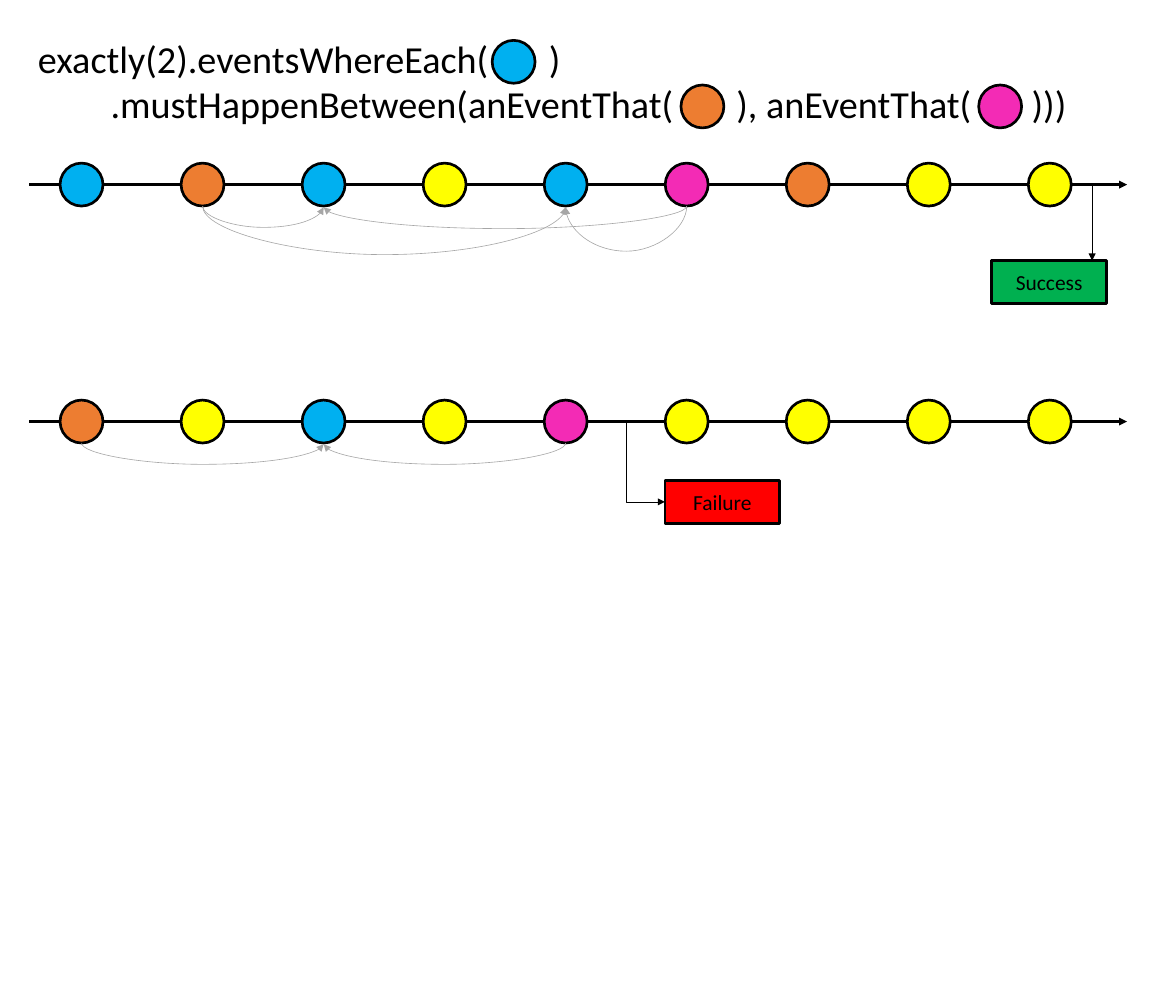
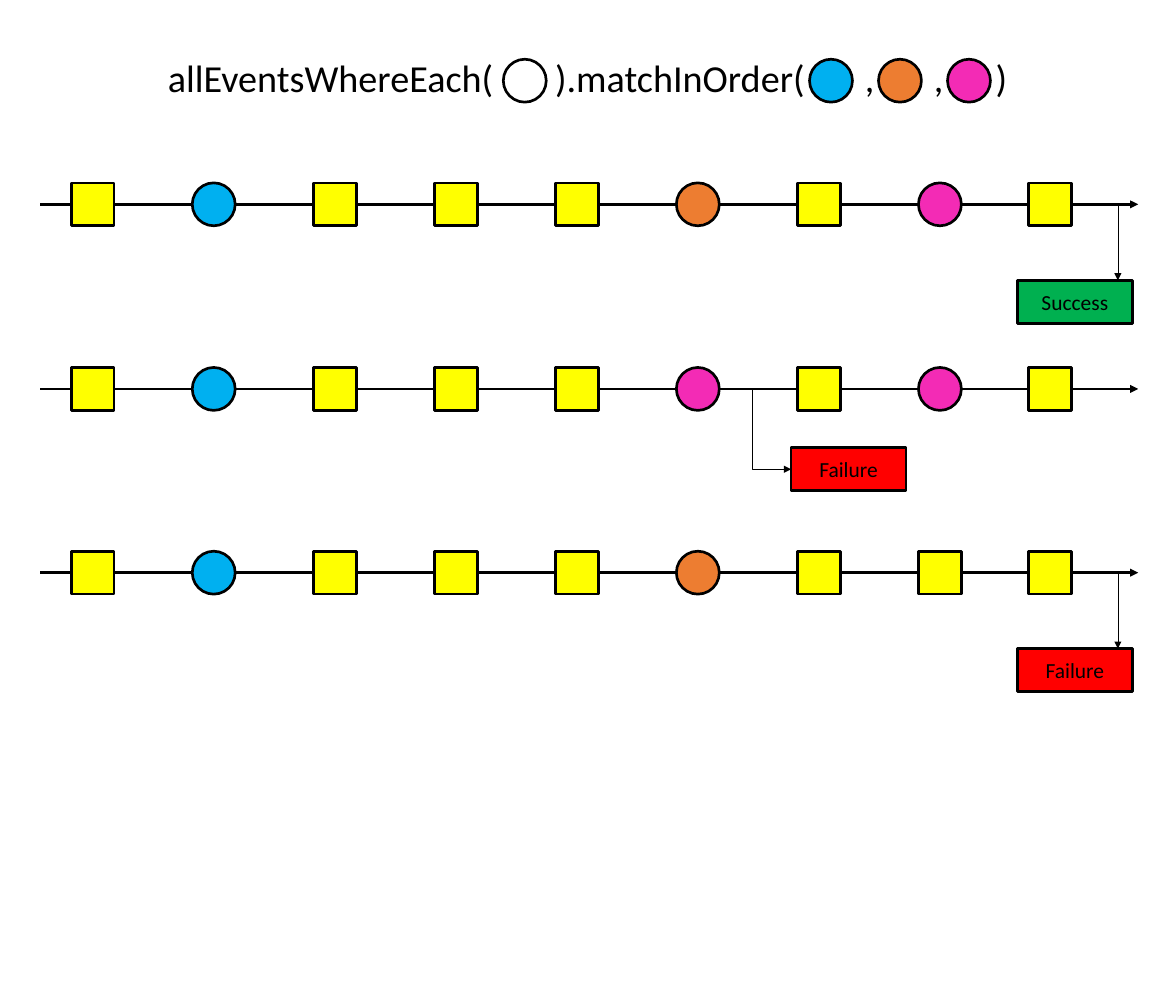
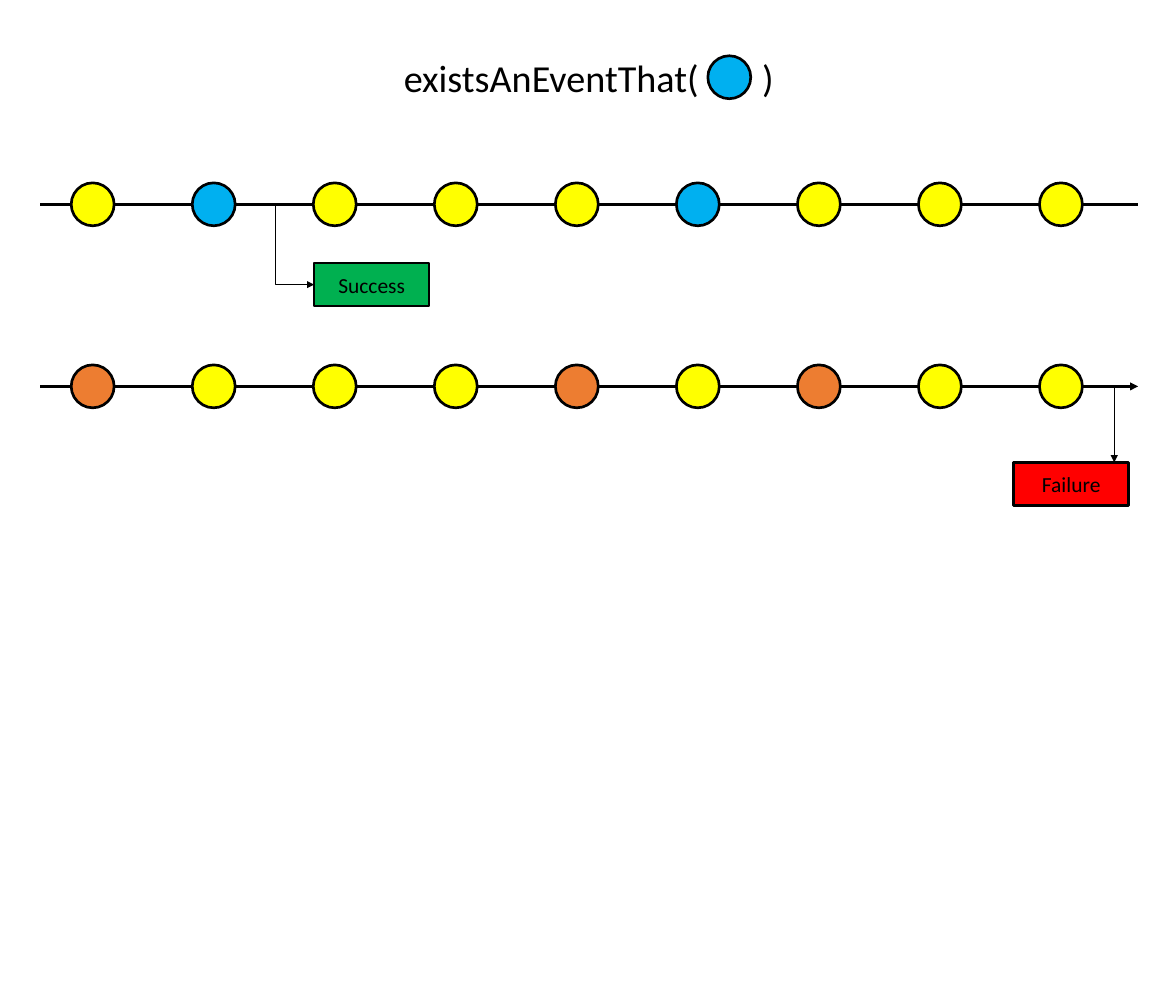
from pptx import Presentation
from pptx.dml.color import RGBColor as Rgb
from pptx.enum.shapes import MSO_CONNECTOR as Conn, MSO_SHAPE as Form
from pptx.enum.text import MSO_ANCHOR as Anchor, MSO_AUTO_SIZE as Auto, PP_ALIGN as Align
from pptx.oxml.ns import qn
from pptx.oxml.xmlchemy import OxmlElement as Node
from pptx.util import Inches, Pt

INK = {
    "black": "000000", "white": "FFFFFF", "gray": "A6A6A6", "blue": "00B0F0",
    "orange": "ED7D31", "yellow": "FFFF00", "pink": "F32BB5",
    "green": "00B050", "red": "FF0000",
}
MARKS = {
    "b": (Form.OVAL, "blue"), "o": (Form.OVAL, "orange"),
    "p": (Form.OVAL, "pink"), "w": (Form.OVAL, "white"),
    "y": (Form.OVAL, "yellow"), "s": (Form.RECTANGLE, "yellow"),
}
VERDICTS = {"Success": "green", "Failure": "red"}
COL, ROW = 1.41, 0.5   # gap between marks, height of a mark
LEAD, LANE = 0.61, 12.79  # lane start to first mark, lane length


def rgb(name):
    return Rgb.from_string(INK[name])


def put(par, text, size=18, ink="black", align=Align.CENTER, tabs=()):
    """Write text in a paragraph; tabs are inches from the frame's left."""
    par.alignment = align
    if tabs:
        stops = Node("a:tabLst")
        for tab in tabs:
            stop = Node("a:tab")
            stop.set("pos", str(Inches(tab)))
            stop.set("algn", "l")
            stops.append(stop)
        par._p.get_or_add_pPr().append(stops)
    run = par.add_run()
    run.text = text
    font = run.font
    font.name, font.size, font.bold = "Calibri", Pt(size), False
    font.color.rgb = rgb(ink)


class Board:
    """Column 0 is the centre of a lane's first mark; row 0 is the slide's top."""

    def __init__(self):
        self.deck = Presentation()
        self.deck.slide_width, self.deck.slide_height = Inches(13.7), Inches(11.6)

    def page(self, left):
        self.slide = self.deck.slides.add_slide(self.deck.slide_layouts[5])
        self.left = left

    def x(self, col):
        return Inches(self.left + LEAD + COL * col)

    def y(self, row):
        return Inches(ROW * row)

    def paint(self, shape, fill, line="black", width=2.25):
        shape.fill.solid()
        shape.fill.fore_color.rgb = rgb(fill)
        shape.line.color.rgb = rgb(line)
        shape.line.width = Pt(width)

    def title(self, row, rows, lines):
        """Each line is a list of (column, piece) pairs."""
        head = self.slide.shapes.title
        head.left, head.top = Inches(self.left), self.y(row)
        head.width, head.height = Inches(LANE), self.y(rows)
        self.paint(head, "white", "white", 1.5)
        frame = head.text_frame
        frame.auto_size, frame.word_wrap = Auto.NONE, True
        frame.vertical_anchor = Anchor.MIDDLE
        frame.margin_left = 0
        for num, line in enumerate(lines):
            par = frame.add_paragraph() if num else frame.paragraphs[0]
            put(par, "".join("\t" + piece for _, piece in line), size=32,
                align=Align.LEFT, tabs=[LEAD + COL * col for col, _ in line])

    def box(self, form, x, y, wide, fill):
        shape = self.slide.shapes.add_shape(form, x, y, wide, self.y(1))
        shape.shadow.inherit = False
        self.paint(shape, fill)
        return shape

    def mark(self, kind, col, row):
        form, fill = MARKS[kind]
        size = self.y(1)
        self.box(form, self.x(col) - size // 2, self.y(row - 0.5), size, fill)

    def line(self, start, end, kind=Conn.STRAIGHT, width=0.5, ink="black", tip=True):
        link = self.slide.shapes.add_connector(kind, *start, *end)
        link.line.color.rgb = rgb(ink)
        link.line.width = Pt(width)
        props = link.element.spPr
        if tip:
            tail = Node("a:tailEnd")
            tail.set("type", "triangle")
            props.find(qn("a:ln")).append(tail)
        props.append(Node("a:effectLst"))
        return props

    def turn(self, start, end, kind, preset, ink="black", bend=None):
        """Draw a connector that leaves its start downwards."""
        (x0, y0), (x1, y1) = start, end
        mid_x, mid_y = (x0 + x1) // 2, (y0 + y1) // 2
        wide, high = abs(x1 - x0) // 2, (y1 - y0) // 2
        props = self.line((mid_x - high, mid_y - wide),
                          (mid_x + high, mid_y + wide), kind, ink=ink)
        frame = props.find(qn("a:xfrm"))
        frame.set("rot", str((270 if x1 > x0 else 90) * 60000))
        if x1 > x0:
            frame.set("flipH", "1")
        geom = props.find(qn("a:prstGeom"))
        geom.set("prst", preset)
        if bend is not None:
            guide = Node("a:gd")
            guide.set("name", "adj1")
            guide.set("fmla", f"val {round(bend * 100000)}")
            geom.get_or_add_avLst().append(guide)

    def lane(self, row, marks, last=8, tip=True):
        y = self.y(row)
        self.line((Inches(self.left), y), (Inches(self.left + LANE), y),
                  width=2.25, tip=tip)
        for col, kind in enumerate(marks):
            self.mark(kind, min(col, last), row)

    def arc(self, row, first, last, depth=0.5):
        y = self.y(row + 0.5)
        self.turn((self.x(first), y), (self.x(last), y + Pt(1)), Conn.CURVE,
                  "curvedConnector3", "gray", self.y(depth) / Pt(1))

    def verdict(self, word, col, row, bent=False):
        shift, drop = (0.32, 1.37) if bent else (-0.83, 1.77)
        left, top = self.x(col + shift), self.y(row + drop)
        shape = self.box(Form.RECTANGLE, left, top, Inches(0.95 * COL), VERDICTS[word])
        shape.text_frame.vertical_anchor = Anchor.MIDDLE
        put(shape.text_frame.paragraphs[0], word)
        start = self.x(col), self.y(row)
        if bent:
            self.turn(start, (left, top + self.y(0.5)), Conn.ELBOW, "bentConnector2")
        else:
            self.line(start, (self.x(col), top))


def between(board):
    board.page(0.34)
    board.title(0.24, 3.28, [
        [(-0.36, "exactly(2).eventsWhereEach("), (3.86, ")")],
        [(0.24, ".mustHappenBetween(anEventThat("), (5.41, "), anEventThat("),
         (7.85, ")))")],
    ])
    for kind, col, row in (("b", 3.57, 1.44), ("o", 5.13, 2.48), ("p", 7.59, 2.48)):
        board.mark(kind, col, row)
    top, low = 4.3, 9.82
    board.lane(top, "bobybpoyy")
    board.lane(low, "oybypyyyy")
    board.verdict("Success", 8.35, top)
    board.verdict("Failure", 4.5, low, bent=True)
    for first, last, depth in ((1, 2, 0.5), (1, 4, 1.14), (5, 4, 1.06), (5, 2, 0.53)):
        board.arc(top, first, last, depth)
    for first in (0, 4):
        board.arc(low, first, 2)


def order(board):
    board.page(0.47)
    board.title(0.56, 2.46, [
        [(0.62, "allEventsWhereEach("), (3.82, ").matchInOrder("),
         (6.38, ","), (6.95, ","), (7.46, ")")],
    ])
    for kind, col in (("w", 3.57), ("b", 6.1), ("o", 6.67), ("p", 7.24)):
        board.mark(kind, col, 1.88)
    for row, marks, word, col, bent in (
        (4.76, "sbsssosps", "Success", 8.47, False),
        (9.06, "sbssspsps", "Failure", 5.45, True),
        (13.34, "sbsssosss", "Failure", 8.47, False),
    ):
        board.lane(row, marks, last=7.91)
        board.verdict(word, col, row, bent)


def exists(board):
    board.page(0.47)
    board.title(0.56, 2.46, [[(2.57, "existsAnEventThat("), (5.53, ")")]])
    board.mark("b", 5.26, 1.8)
    board.lane(4.76, "ybyyybyyy", tip=False)
    board.verdict("Success", 1.51, 4.76, bent=True)
    board.lane(9, "oyyyoyoyy")
    board.verdict("Failure", 8.44, 9)


def main():
    board = Board()
    for build in (between, order, exists):
        build(board)
    board.deck.save("out.pptx")


if __name__ == "__main__":
    main()
